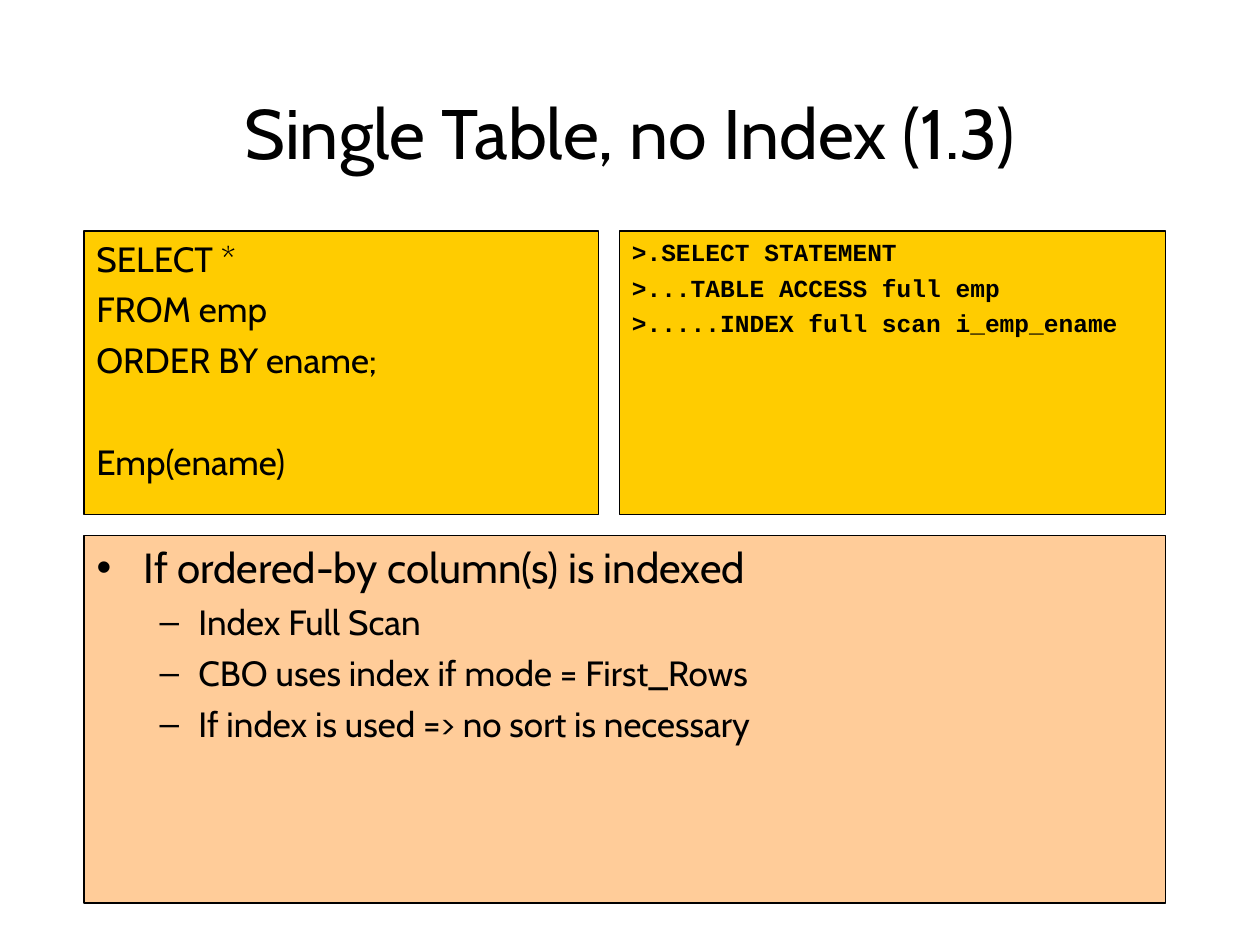
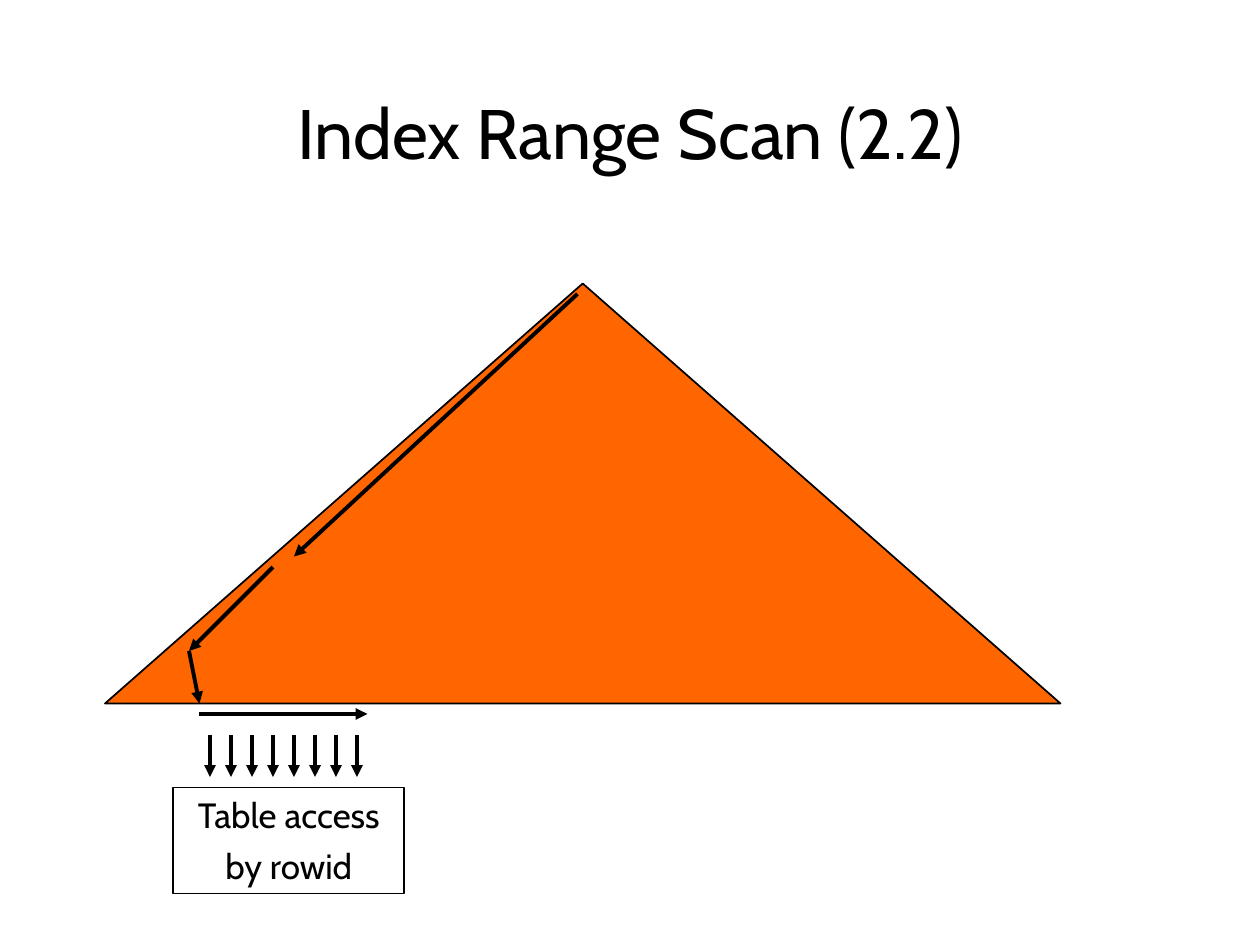
import lxml.etree
import pptx
import pptx.dml.color
import pptx.enum.shapes
import pptx.enum.text
import pptx.oxml.ns
import pptx.util

EMU_PER_PX = 7620  # 120 px to the inch
COLORS = {
    "ink": "000000",
    "code": "FFCC00",
    "notes": "FFCC99",
    "index": "FF6600",
}
TEXT_FONT = "Cabin"
CODE_FONT = "Courier New"
ALIGN = pptx.enum.text.PP_ALIGN
SHAPES = pptx.enum.shapes.MSO_SHAPE
qn = pptx.oxml.ns.qn


def px(*lengths):
    return [pptx.util.Emu(length * EMU_PER_PX) for length in lengths]


def rgb(name):
    return pptx.dml.color.RGBColor.from_string(COLORS[name])


def place(shape, box):
    shape.left, shape.top, shape.width, shape.height = px(*box)


def paint(shape, fill, line_width):
    if fill:
        shape.fill.solid()
        shape.fill.fore_color.rgb = rgb(fill)
    else:
        shape.fill.background()
    shape.line.color.rgb = rgb("ink")
    shape.line.width = pptx.util.Pt(line_width)


def style(paragraph, size, font=TEXT_FONT, bold=False, align=ALIGN.LEFT, before=0):
    paragraph.alignment = align
    paragraph.space_before = pptx.util.Pt(before)
    for run in paragraph.runs:
        run.font.name = font
        run.font.size = pptx.util.Pt(size)
        run.font.bold = bold
        run.font.color.rgb = rgb("ink")


def set_bullet(paragraph, char, margin, indent):
    properties = paragraph._p.get_or_add_pPr()
    properties.set("marL", str(margin * EMU_PER_PX))
    properties.set("indent", str(indent * EMU_PER_PX))
    color = lxml.etree.SubElement(properties, qn("a:buClr"))
    lxml.etree.SubElement(color, qn("a:srgbClr"), val=COLORS["ink"])
    lxml.etree.SubElement(properties, qn("a:buChar"), char=char)


def set_title(slide, text):
    title = slide.shapes.title
    place(title, (90, 80, 1020, 90))
    frame = title.text_frame
    frame.text = text
    frame.auto_size = pptx.enum.text.MSO_AUTO_SIZE.NONE
    frame.vertical_anchor = pptx.enum.text.MSO_ANCHOR.MIDDLE
    style(frame.paragraphs[0], 40, align=ALIGN.CENTER)


def fill_notes(slide, heading, points):
    notes = slide.placeholders[1]
    place(notes, (80, 510, 1030, 350))
    paint(notes, "notes", 0.75)
    frame = notes.text_frame
    frame.text = "\n".join([heading, *points])
    frame.auto_size = pptx.enum.text.MSO_AUTO_SIZE.NONE
    first, *rest = frame.paragraphs
    set_bullet(first, "•", 45, -45)
    style(first, 24)
    for point in rest:
        point.level = 1
        set_bullet(point, "–", 97, -37)
        style(point, 20, before=5)


def add_panel(slide, kind, box, fill, line_width):
    panel = slide.shapes.add_shape(kind, *px(*box))
    panel.shadow.inherit = False
    paint(panel, fill, line_width)
    return panel


def add_text_panel(slide, box, lines, size, before, fill=None, line_width=0.75, **look):
    panel = add_panel(slide, SHAPES.RECTANGLE, box, fill, line_width)
    frame = panel.text_frame
    frame.word_wrap = True
    frame.vertical_anchor = pptx.enum.text.MSO_ANCHOR.TOP
    frame.text = "\n".join(lines)
    for number, paragraph in enumerate(frame.paragraphs):
        style(paragraph, size, before=before if number else 0, **look)
    return frame


def add_arrow(slide, start, end):
    arrow = slide.shapes.add_connector(
        pptx.enum.shapes.MSO_CONNECTOR.STRAIGHT, *px(*start, *end))
    arrow.line.color.rgb = rgb("ink")
    arrow.line.width = pptx.util.Pt(2.25)
    lxml.etree.SubElement(arrow.line._get_or_add_ln(), qn("a:tailEnd"), type="triangle")
    lxml.etree.SubElement(arrow._element.spPr, qn("a:effectLst"))


def build_single_table(deck):
    slide = deck.slides.add_slide(deck.slide_layouts[1])
    set_title(slide, "Single Table, no Index (1.3)")
    fill_notes(slide, "If ordered-by column(s) is indexed", [
        "Index Full Scan",
        "CBO uses index if mode = First_Rows",
        "If index is used => no sort is necessary",
    ])
    add_text_panel(slide, (590, 220, 520, 270), [
        ">.SELECT STATEMENT",
        ">...TABLE ACCESS full emp",
        ">.....INDEX full scan i_emp_ename",
    ], 14, 3.5, "code", font=CODE_FONT, bold=True)
    query = add_text_panel(slide, (80, 220, 490, 270), [
        "SELECT *",
        "FROM emp",
        "ORDER BY ename;",
        "Emp(ename)",
    ], 20, 5, "code")
    # The index definition stands one line apart from the query
    query.paragraphs[-1].space_before = pptx.util.Pt(34)


def build_range_scan(deck):
    slide = deck.slides.add_slide(deck.slide_layouts[5])
    add_panel(slide, SHAPES.FLOWCHART_EXTRACT, (100, 270, 910, 400), "index", 1)
    descent = [
        ((550, 280), (280, 530)),
        ((180, 620), (190, 670)),
        ((260, 540), (180, 620)),
    ]
    for start, end in descent:
        add_arrow(slide, start, end)
    set_title(slide, "Index Range Scan (2.2)")
    add_text_panel(slide, (165, 750, 220, 101), ["Table access", "by rowid"],
                   20, 5, line_width=1, align=ALIGN.CENTER)
    add_arrow(slide, (190, 680), (350, 680))
    for rowid_x in range(200, 341, 20):
        add_arrow(slide, (rowid_x, 700), (rowid_x, 740))


def main():
    deck = pptx.Presentation()
    deck.slide_width, deck.slide_height = px(1200, 900)
    build_single_table(deck)
    build_range_scan(deck)
    deck.save("out.pptx")


if __name__ == "__main__":
    main()
